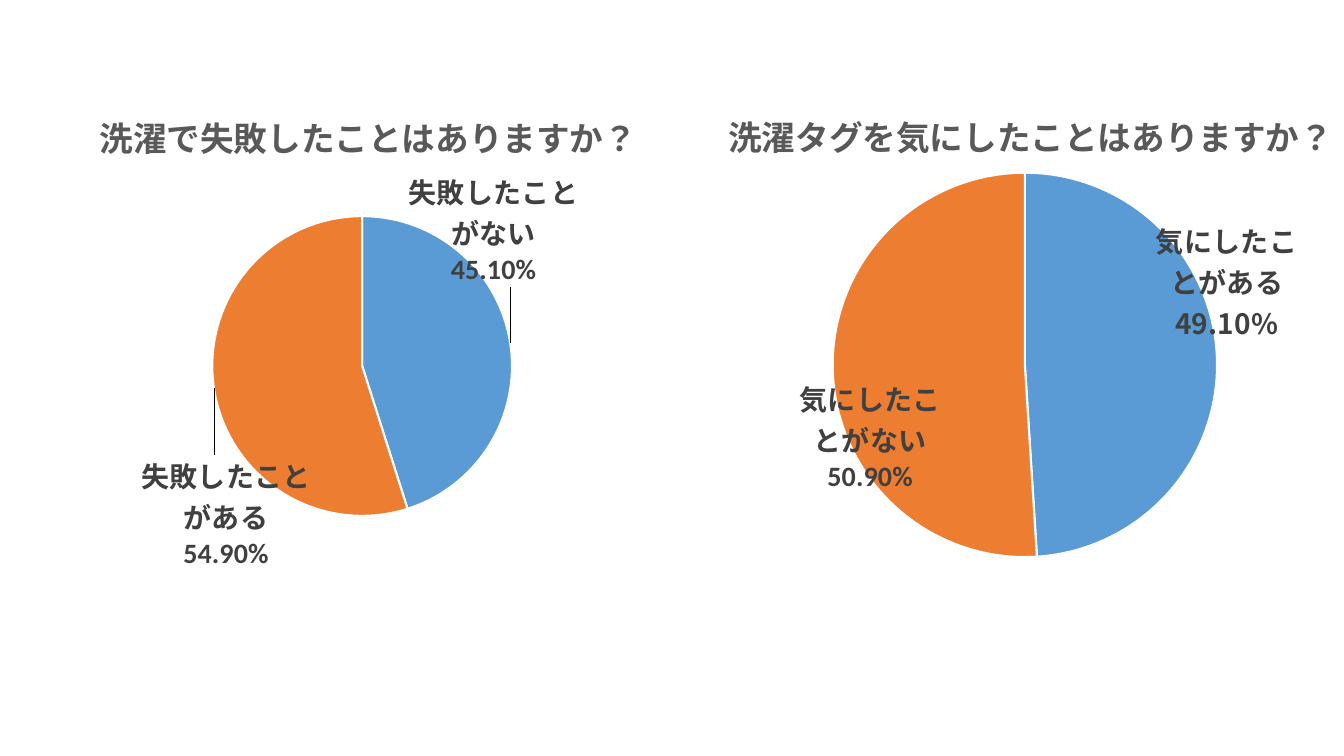
from lxml.etree import SubElement
from pptx import Presentation
from pptx.chart.data import CategoryChartData
from pptx.dml.color import RGBColor
from pptx.enum.chart import XL_CHART_TYPE, XL_LABEL_POSITION
from pptx.oxml import parse_xml
from pptx.oxml.ns import nsdecls, qn
from pptx.util import Pt

# Content: frames and pies are in points, pie is (left, top, diameter) on the slide;
# title_at and label shifts are fractions of the chart frame
JAPANESE, LATIN = "Noto Sans CJK JP", "Calibri"
SURVEYS = [
    {
        "title": "洗濯で失敗したことはありますか？",
        "frame": (-61.2, 53.3, 640, 356.4),
        "pie": (151.6, 154.4, 214.2),
        "title_at": (0.2, 0.056),
        "categories": ["1", "2"],
        "values": [45.1, 54.9],
        "labels": [
            ([[("失敗したことがない", JAPANESE)], [("45.10%", LATIN)]], (-0.12, -0.11)),
            ([[("失敗したことがある", JAPANESE)], [("54.90%", LATIN)]], (0.115, 0.13)),
        ],
        "show_category": False,
        "leader_lines": True,
    },
    {
        "title": "洗濯タグを気にしたことはありますか？",
        "frame": (450, 53.3, 563, 355.7),
        "pie": (594.8, 123.4, 274.6),
        "title_at": (0.117, 0.054),
        "categories": ["気にしたことがある", "気にしたことがない"],
        "values": [49, 51],
        "labels": [
            ([[("気にしたことがある ", JAPANESE), ("49.10%", JAPANESE)]], (-0.085, -0.155)),
            ([[("気にしたことがない", JAPANESE)], [("50.90%", LATIN)]], (0.145, 0.13)),
        ],
        "show_category": True,
        "leader_lines": False,
    },
]

BLUE = RGBColor(0x5B, 0x9B, 0xD5)
ORANGE = RGBColor(0xED, 0x7D, 0x31)
WHITE = RGBColor(0xFF, 0xFF, 0xFF)
TITLE_GRAY = RGBColor(0x59, 0x59, 0x59)
LABEL_GRAY = RGBColor(0x40, 0x40, 0x40)
BLACK = RGBColor(0, 0, 0)


def place(element, index, x, y, size=None):
    """Give a chart part a manual layout, in fractions of the chart."""
    for old_layout in element.findall(qn("c:layout")):
        element.remove(old_layout)
    layout = parse_xml(f"<c:layout {nsdecls('c')}><c:manualLayout/></c:layout>")
    settings = {"x": x, "y": y}
    if size:
        settings = {"layoutTarget": "inner", "xMode": "edge", "yMode": "edge",
                    **settings, "w": size[0], "h": size[1]}
    elif element.tag == qn("c:title"):
        settings = {"xMode": "edge", "yMode": "edge", **settings}
    for name, value in settings.items():
        SubElement(layout[0], qn(f"c:{name}")).set("val", str(value))
    element.insert(index, layout)


def add_span(para, text, size, color, face):
    span = para.add_run()
    span.text = text
    span.font.size = Pt(size)
    span.font.bold = True
    span.font.color.rgb = color
    span.font.name = face
    SubElement(span.font._element, qn("a:ea")).set("typeface", JAPANESE)


def add_survey(page, survey):
    left, top, width, height = survey["frame"]
    data = CategoryChartData()
    data.categories = survey["categories"]
    data.add_series("Series 1", survey["values"])
    chart = page.shapes.add_chart(
        XL_CHART_TYPE.PIE, Pt(left), Pt(top), Pt(width), Pt(height), data).chart
    chart.has_legend = False
    chart.font.size = Pt(10)
    chart.font.name = LATIN
    chart.font.color.rgb = BLACK

    # Title
    chart.has_title = True
    title = chart.chart_title
    add_span(title.text_frame.paragraphs[0], survey["title"], 24, TITLE_GRAY, JAPANESE)
    title.include_in_layout = False
    place(title._element, 1, *survey["title_at"])

    # Pie circle
    pie_left, pie_top, diameter = survey["pie"]
    place(chart._chartSpace.chart.plotArea, 0,
          round((pie_left - left) / width, 4), round((pie_top - top) / height, 4),
          (round(diameter / width, 4), round(diameter / height, 4)))

    # Series labels
    series = chart.plots[0].series[0]
    labels = series.data_labels
    labels.show_value = not survey["show_category"]
    labels.show_category_name = survey["show_category"]
    labels.position = XL_LABEL_POSITION.BEST_FIT
    labels.font.size = Pt(12)
    labels.font.name = LATIN
    labels.font.color.rgb = LABEL_GRAY
    for leader in labels._element.findall(qn("c:showLeaderLines")):
        leader.set("val", "1" if survey["leader_lines"] else "0")

    # Slices with their own labels
    for index, (color, (lines, shift)) in enumerate(zip((BLUE, ORANGE), survey["labels"])):
        point = series.points[index]
        point.format.fill.solid()
        point.format.fill.fore_color.rgb = color
        point.format.line.color.rgb = WHITE
        point.format.line.width = Pt(1.5)
        label = point.data_label
        frame = label.text_frame
        for number, line in enumerate(lines):
            para = frame.add_paragraph() if number else frame.paragraphs[0]
            for text, face in line:
                add_span(para, text, 20, LABEL_GRAY, face)
        label.position = XL_LABEL_POSITION.BEST_FIT
        place(labels._element.findall(qn("c:dLbl"))[index], 1, *shift)


deck = Presentation()
deck.slide_width, deck.slide_height = Pt(960), Pt(540)
page = deck.slides.add_slide(deck.slide_layouts[6])
for survey in SURVEYS:
    add_survey(page, survey)
deck.save("out.pptx")
